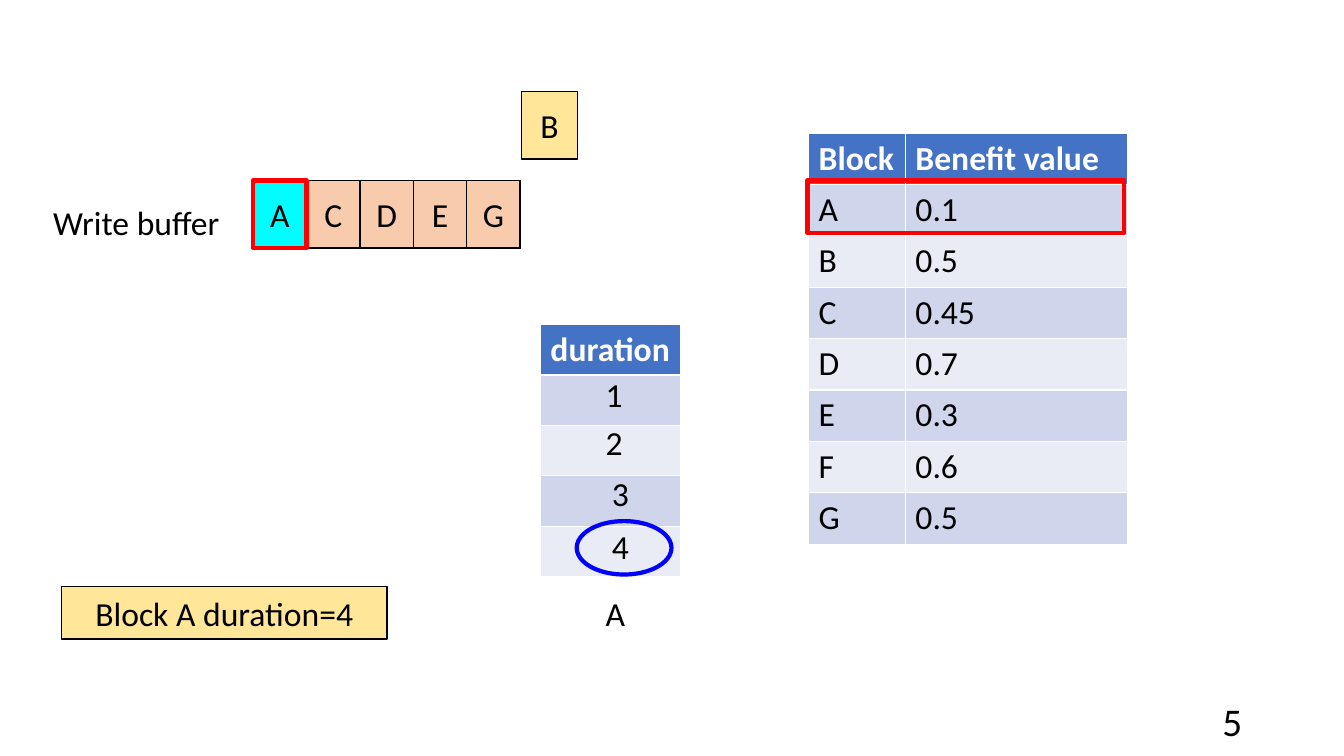
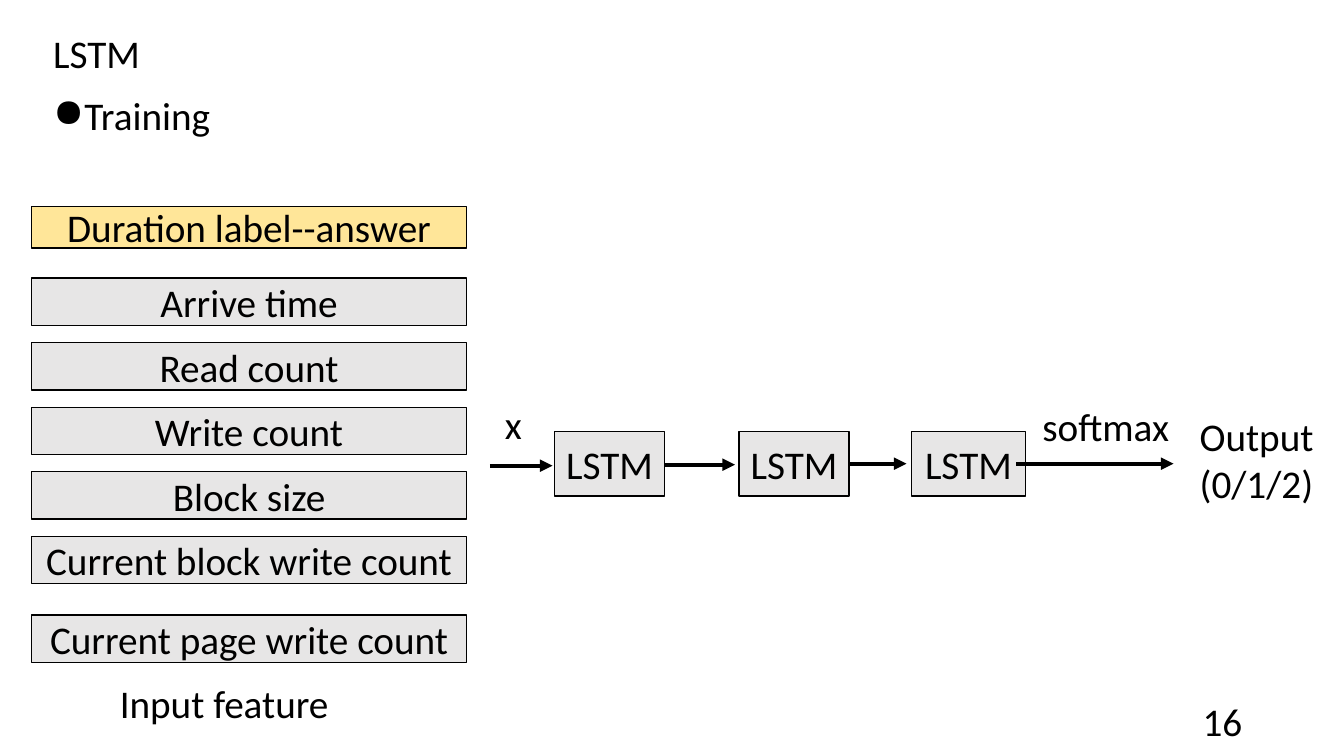
from lxml import etree
from pptx import Presentation
from pptx.dml.color import RGBColor
from pptx.enum.shapes import MSO_CONNECTOR, MSO_SHAPE
from pptx.enum.text import MSO_ANCHOR, PP_ALIGN
from pptx.oxml.ns import qn
from pptx.util import Inches, Pt

LEFT, CENTER, RIGHT = PP_ALIGN.LEFT, PP_ALIGN.CENTER, PP_ALIGN.RIGHT
TOP, MIDDLE = MSO_ANCHOR.TOP, MSO_ANCHOR.MIDDLE
RECTANGLE, OVAL = MSO_SHAPE.RECTANGLE, MSO_SHAPE.OVAL
STRAIGHT = MSO_CONNECTOR.STRAIGHT


class Theme:
    font = "Calibri"
    small, large = 24, 28
    thin, thick = 1, 3
    black, white = "000000", "FFFFFF"
    header, bands = "4472C4", ("CFD5EA", "E9EBF5")
    gray, yellow, peach, cyan = "E7E6E6", "FFE699", "F8CBAD", "00FDFF"
    red, blue = "FF0000", "0000FF"


# Shared geometry, in inches
SLIDE_WIDTH, SLIDE_HEIGHT = 13.33, 7.5
MARGIN = 0.43
NUMBER_BOX = (9.42, 6.95, 3, 0.4)
TABLE_ROW = 0.5

# Content: write buffer slide
BUFFER_BLOCKS = ["A", "C", "D", "E", "G"]
BUFFER = {"left": 2.51, "top": 1.79, "column": 0.53, "row": 0.67}
BENEFITS = [
    ("Block", "Benefit value"),
    ("A", "0.1"), ("B", "0.5"), ("C", "0.45"), ("D", "0.7"),
    ("E", "0.3"), ("F", "0.6"), ("G", "0.5"),
]
DURATIONS = [("duration",), ("",), ("",), ("",), ("",)]
DURATION_LABELS = [  # text, left, top
    ("1", 5.91, 3.66), ("2", 5.91, 4.14), ("3", 5.97, 4.64),
    ("4", 5.97, 5.17), ("A", 5.91, 5.83),
]

# Content: training slide
FEATURES = [  # text, row of the feature grid
    ("Arrive time", 0), ("Read count", 1), ("Write count", 2),
    ("Block size", 3), ("Current block write count", 4),
    ("Current page write count", 5.22),
]
FEATURE = {"left": 0.31, "top": 2.76, "width": 4.32, "height": 0.47, "pitch": 0.64}
CELLS = [(5.5, 1.09), (7.33, 1.09), (9.04, 1.13)]  # left, width
CELL_TOP, CELL_HEIGHT = 4.28, 0.64
ARROWS = [  # start, end, height on the slide
    (4.86, 5.48, 4.62), (6.6, 7.29, 4.61), (8.42, 8.99, 4.6), (10.08, 11.64, 4.6),
]
FLOW_LABELS = [  # lines, box
    (["Input feature"], (1.09, 6.69, 2.47, 0.57)),
    (["x"], (4.91, 3.92, 0.5, 0.57)),
    (["softmax"], (10.24, 3.94, 1.56, 0.57)),
    (["Output", "(0/1/2)"], (11.8, 4.04, 1.38, 1.04)),
]


def color(value):
    return RGBColor.from_string(value)


def inches(box):
    return [Inches(length) for length in box]


def write(frame, lines, size=Theme.small, fill=Theme.black, bold=False,
          align=LEFT, anchor=TOP, spacing=None, before=None, bullet=None):
    """Fill a text frame, one paragraph for each line."""
    frame.word_wrap = True
    frame.vertical_anchor = anchor
    for index, line in enumerate(lines):
        paragraph = frame.add_paragraph() if index else frame.paragraphs[0]
        paragraph.alignment = align
        paragraph.line_spacing = spacing
        if before is not None:
            paragraph.space_before = Pt(before)
        if bullet:
            properties = paragraph._p.get_or_add_pPr()
            properties.set("marL", str(Inches(0.25)))
            properties.set("indent", str(-Inches(0.25)))
            etree.SubElement(properties, qn("a:buChar")).set("char", bullet)
        run = paragraph.add_run()
        run.text = line
        run.font.name, run.font.size, run.font.bold = Theme.font, Pt(size), bold
        run.font.color.rgb = color(fill)


def add_label(slide, lines, box, **style):
    write(slide.shapes.add_textbox(*inches(box)).text_frame, lines, **style)


def add_box(slide, box, text=None, fill=None, line=Theme.black,
            weight=Theme.thin, kind=RECTANGLE, size=Theme.small):
    shape = slide.shapes.add_shape(kind, *inches(box))
    shape.shadow.inherit = False
    if fill:
        shape.fill.solid()
        shape.fill.fore_color.rgb = color(fill)
    else:
        shape.fill.background()
    shape.line.color.rgb = color(line)
    shape.line.width = Pt(weight)
    if text:
        write(shape.text_frame, [text], size=size, align=CENTER, anchor=MIDDLE)


def add_arrow(slide, start, end, height):
    arrow = slide.shapes.add_connector(STRAIGHT, *inches((start, height, end, height)))
    arrow.line.color.rgb = color(Theme.black)
    arrow.line.width = Pt(Theme.thick)
    properties = arrow._element.spPr
    etree.SubElement(properties.find(qn("a:ln")), qn("a:tailEnd")).set("type", "triangle")
    etree.SubElement(properties, qn("a:effectLst"))


def add_grid(slide, rows, left, top, widths, row_height=TABLE_ROW):
    box = (left, top, sum(widths), row_height * len(rows))
    table = slide.shapes.add_table(len(rows), len(widths), *inches(box)).table
    for column, width in zip(table.columns, widths):
        column.width = Inches(width)
    for row_index, row in enumerate(rows):
        header = row_index == 0
        for column_index, text in enumerate(row):
            cell = table.cell(row_index, column_index)
            cell.fill.solid()
            cell.fill.fore_color.rgb = color(
                Theme.header if header else Theme.bands[(row_index - 1) % 2])
            if text:
                write(cell.text_frame, [text], bold=header,
                      fill=Theme.white if header else Theme.black)


def add_slide(presentation, number):
    slide = presentation.slides.add_slide(presentation.slide_layouts[6])
    add_label(slide, [number], NUMBER_BOX, size=Theme.large, align=RIGHT, anchor=MIDDLE)
    return slide


def build_buffer_slide(presentation):
    slide = add_slide(presentation, "5")
    left, top, column, row = BUFFER.values()

    # Buffer row and the incoming block
    add_label(slide, ["Write buffer"], (MARGIN, 1.95, 1.94, 0.5))
    add_box(slide, (left, top, column * len(BUFFER_BLOCKS), row), fill=Theme.gray)
    for index, block in enumerate(BUFFER_BLOCKS):
        add_box(slide, (left + index * column, top, column, row), block,
                fill=Theme.peach if index else Theme.cyan)
    add_box(slide, (5.17, 0.91, 0.56, row), "B", fill=Theme.yellow)
    add_box(slide, (left, top, column, row), line=Theme.red, weight=Theme.thick)

    # Benefit table with its chosen row
    add_grid(slide, BENEFITS, 8.02, 1.32, (0.96, 2.2), row_height=0.51)
    add_box(slide, (8.01, top, 3.14, 0.52), line=Theme.red, weight=Theme.thick)

    # Duration table with its chosen value
    add_grid(slide, DURATIONS, 5.36, 3.22, (1.39,))
    for text, label_left, label_top in DURATION_LABELS:
        add_label(slide, [text], (label_left, label_top, 0.8, 0.5))
    add_box(slide, (5.72, 5.17, 0.94, 0.53), line=Theme.blue,
            weight=Theme.thick, kind=OVAL)
    add_box(slide, (0.61, 5.82, 3.23, 0.52), "Block A duration=4", fill=Theme.yellow)


def build_training_slide(presentation):
    slide = add_slide(presentation, "16")
    add_label(slide, ["LSTM"], (MARGIN, 0.2, 12.56, 0.71),
              size=Theme.large, anchor=MIDDLE, spacing=0.9)
    add_label(slide, ["Training"], (MARGIN, 0.91, 12.9, 0.55),
              size=Theme.large, spacing=0.9, before=10, bullet="●")

    # Input features under the answer label
    left, top, width, height, pitch = FEATURE.values()
    add_box(slide, (left, 2.05, width, 0.41), "Duration label--answer",
            fill=Theme.yellow, size=Theme.large)
    for text, row in FEATURES:
        add_box(slide, (left, top + row * pitch, width, height), text,
                fill=Theme.gray, size=Theme.large)

    # Network from input to output
    for cell_left, cell_width in CELLS:
        add_box(slide, (cell_left, CELL_TOP, cell_width, CELL_HEIGHT), "LSTM",
                fill=Theme.gray, size=Theme.large)
    for arrow in ARROWS:
        add_arrow(slide, *arrow)
    for lines, box in FLOW_LABELS:
        add_label(slide, lines, box, size=Theme.large)


def main():
    presentation = Presentation()
    presentation.slide_width = Inches(SLIDE_WIDTH)
    presentation.slide_height = Inches(SLIDE_HEIGHT)
    build_buffer_slide(presentation)
    build_training_slide(presentation)
    presentation.save("out.pptx")


if __name__ == "__main__":
    main()
